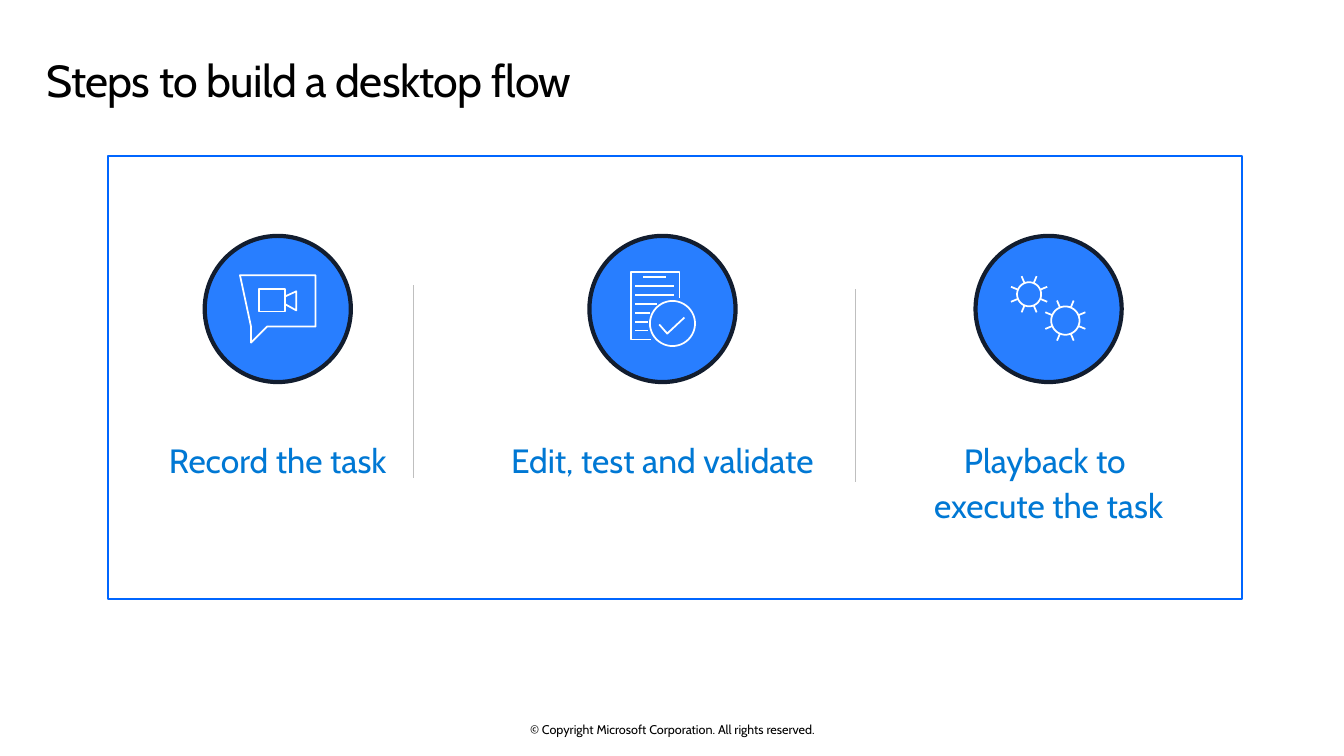
from math import cos, pi, sin

from lxml.etree import SubElement
from pptx import Presentation
from pptx.dml.color import RGBColor
from pptx.enum.shapes import MSO_CONNECTOR as Connector, MSO_SHAPE as Shape
from pptx.enum.text import MSO_ANCHOR as Anchor, MSO_AUTO_SIZE as AutoSize, PP_ALIGN as Align
from pptx.oxml.ns import qn
from pptx.util import Pt

COLOURS = {
    "white": "FFFFFF",
    "black": "000000",
    "frame": "0066FF",
    "label": "0078D4",
    "disc": "287EFF",
    "rim": "121D2F",
    "divider": "BFBFBF",
}
COLOURS = {name: RGBColor.from_string(value) for name, value in COLOURS.items()}
FONT = "Cabin"


def write(box, lines, size, colour, margins=(0, 0, 0, 0), **paragraph_format):
    """Fill a box with one paragraph per line and return the last run."""
    frame = box.text_frame
    sides = ("margin_left", "margin_top", "margin_right", "margin_bottom")
    for side, margin in zip(sides, margins):
        setattr(frame, side, Pt(margin))
    for index, line in enumerate(lines):
        para = frame.add_paragraph() if index else frame.paragraphs[0]
        for name, value in paragraph_format.items():
            setattr(para, name, value)
        span = para.add_run()
        span.text = line
        for name, value in {"name": FONT, "size": Pt(size), "bold": False}.items():
            setattr(span.font, name, value)
        span.font.color.rgb = COLOURS[colour]
    return span


def draw_strokes(strokes):
    """Draw (points, closed) outlines as one white line drawing."""
    builder = None
    for points, closed in strokes:
        corners = [(Pt(x), Pt(y)) for x, y in points]
        if builder is None:
            builder = page.shapes.build_freeform(*corners[0])
        else:
            builder.move_to(*corners[0])
        builder.add_line_segments(corners[1:], close=closed)
    drawing = builder.convert_to_shape()
    drawing.shadow.inherit = False
    drawing.fill.background()
    drawing.line.color.rgb = COLOURS["white"]
    drawing.line.width = Pt(1.25)


deck = Presentation()
deck.slide_width, deck.slide_height = Pt(960), Pt(540)
page = deck.slides.add_slide(deck.slide_layouts[5])

# Title and copyright line
title = page.shapes.title
title.left, title.top, title.width, title.height = Pt(33.1), Pt(34.6), Pt(892.8), Pt(53.3)
title.text_frame.auto_size = AutoSize.NONE
title.text_frame.vertical_anchor = Anchor.TOP
title_run = write(title, ["Steps to build a desktop flow"], 32, "black", (0, 7.2, 11.5, 7.2),
                  alignment=Align.LEFT, line_spacing=0.9)
title_run.font._element.set("spc", "-50")

footer = page.shapes.add_textbox(Pt(318.2), Pt(515.5), Pt(324), Pt(10.8))
footer.text_frame.word_wrap = True
footer.text_frame.vertical_anchor = Anchor.MIDDLE
write(footer, ["© Copyright Microsoft Corporation. All rights reserved."], 9, "black",
      alignment=Align.CENTER)

# Frame, step discs and labels
DISC = 104.4
shapes = [(Shape.RECTANGLE, 77, 111.6, 810, 316, "white", "frame", 1.5)]
steps = [
    (198.4, 172.8, ["Record the task"]),
    (473.2, 240.5, ["Edit, test and validate"]),
    (749, 180.7, ["Playback to ", "execute the task"]),
]
for center, width, lines in steps:
    shapes.append((Shape.OVAL, center - DISC / 2, 168.5, DISC, DISC, "disc", "rim", 3))
for kind, left, top, width, height, fill, line, weight in shapes:
    shape = page.shapes.add_shape(kind, Pt(left), Pt(top), Pt(width), Pt(height))
    shape.shadow.inherit = False
    shape.fill.solid()
    shape.fill.fore_color.rgb = COLOURS[fill]
    shape.line.color.rgb = COLOURS[line]
    shape.line.width = Pt(weight)

for center, width, lines in steps:
    height = 26 + 32.3 * (len(lines) - 1)
    label = page.shapes.add_textbox(Pt(center - width / 2), Pt(317.5), Pt(width), Pt(height))
    label.text_frame.word_wrap = False
    label.text_frame.auto_size = AutoSize.SHAPE_TO_FIT_TEXT
    write(label, lines, 24, "label",
          alignment=Align.CENTER, line_spacing=0.9, space_after=Pt(5.9))

# Recording icon: speech bubble, camera body and lens
draw_strokes([
    ([(171.4, 196.6), (225.4, 196.6), (225.4, 233.3), (190.8, 233.3),
      (179.3, 244.8), (179.3, 233.3)], True),
    ([(185, 206.6), (203.8, 206.6), (203.8, 222.5), (185, 222.5)], True),
    ([(203.8, 217.4), (211.7, 221.8), (211.7, 208.1), (203.8, 211.7)], False),
])

# Checklist icon: sheet, text rows and tick
draw_strokes([([(465.1, 242.6), (450.7, 242.6), (450.7, 194.4), (485.3, 194.4),
                (485.3, 213.1)], False)])
rows = [(459.4, 475.9), (453.6, 481.7), (453.6, 481.7), (453.6, 469.4),
        (453.6, 464.4), (453.6, 463), (453.6, 463)]
draw_strokes([([(start, 198 + 6.36 * row), (end, 198 + 6.36 * row)], False)
              for row, (start, end) in enumerate(rows)])
draw_strokes([([(470.9, 231.8), (476.6, 238.3), (488.9, 226.8)], False)])

# Round outlines: tick badge and two gears with eight teeth each
badge, gears = [], []
for strokes, x, y, radius, tooth_end in [
    (badge, 480.4, 231.1, 16.1, None),
    (gears, 735.1, 210.2, 8.6, 14),
    (gears, 761, 229, 10.1, 15.5),
]:
    turns = [2 * pi * step / 48 for step in range(48)]
    strokes.append(([(x + radius * cos(turn), y + radius * sin(turn)) for turn in turns], True))
    if tooth_end:
        for tooth in range(8):
            turn = (tooth + 0.5) * pi / 4
            strokes.append(([(x + reach * cos(turn), y + reach * sin(turn))
                             for reach in (radius, tooth_end)], False))
draw_strokes(badge)
draw_strokes(gears)

# Dividers between the steps
for x, top in [(295.2, 203.8), (611.3, 206.6)]:
    divider = page.shapes.add_connector(Connector.STRAIGHT, Pt(x), Pt(top), Pt(x), Pt(top + 137.5))
    divider.line.color.rgb = COLOURS["divider"]
    divider.line.width = Pt(0.5)
    SubElement(divider._element.spPr, qn("a:effectLst"))

deck.save("out.pptx")
